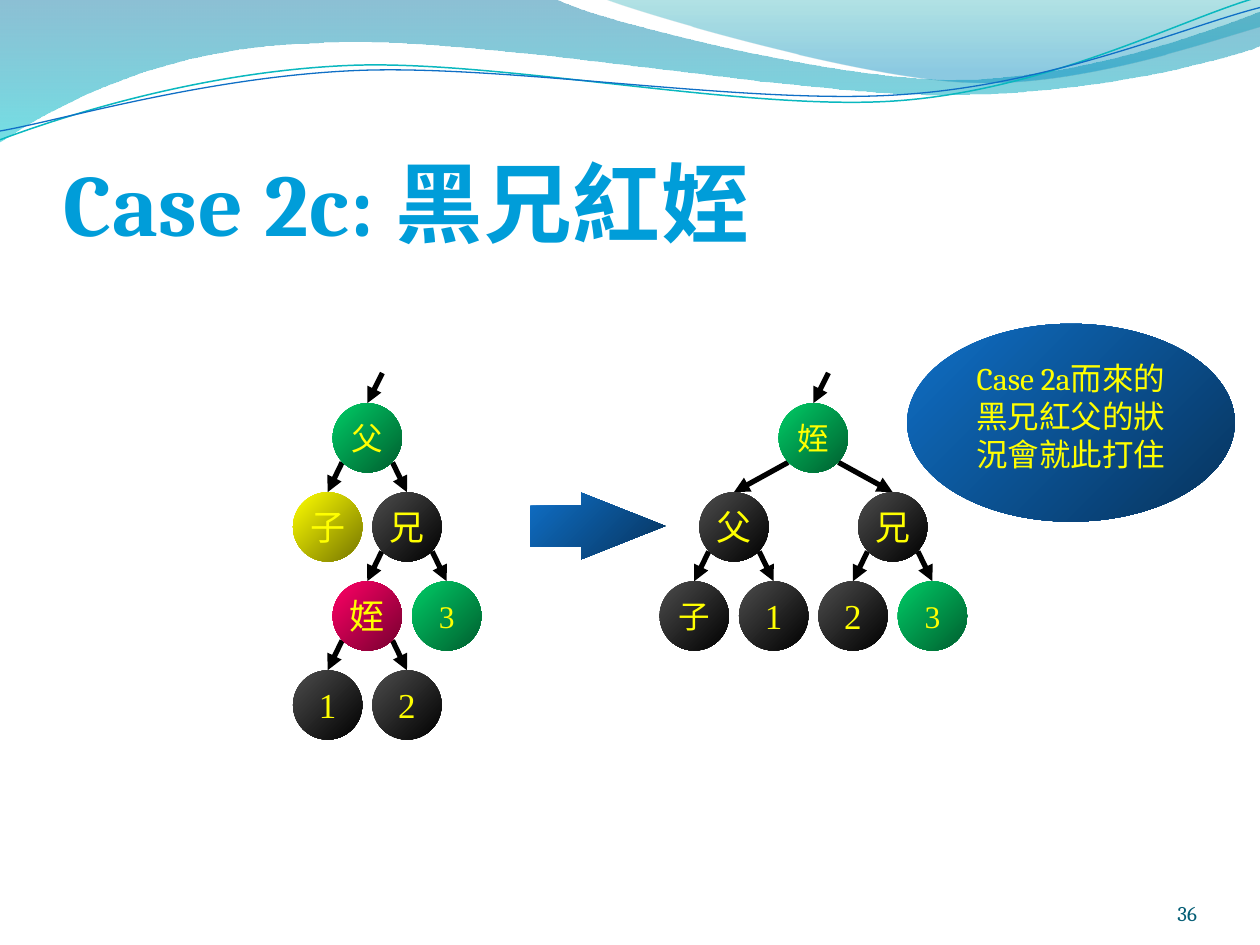
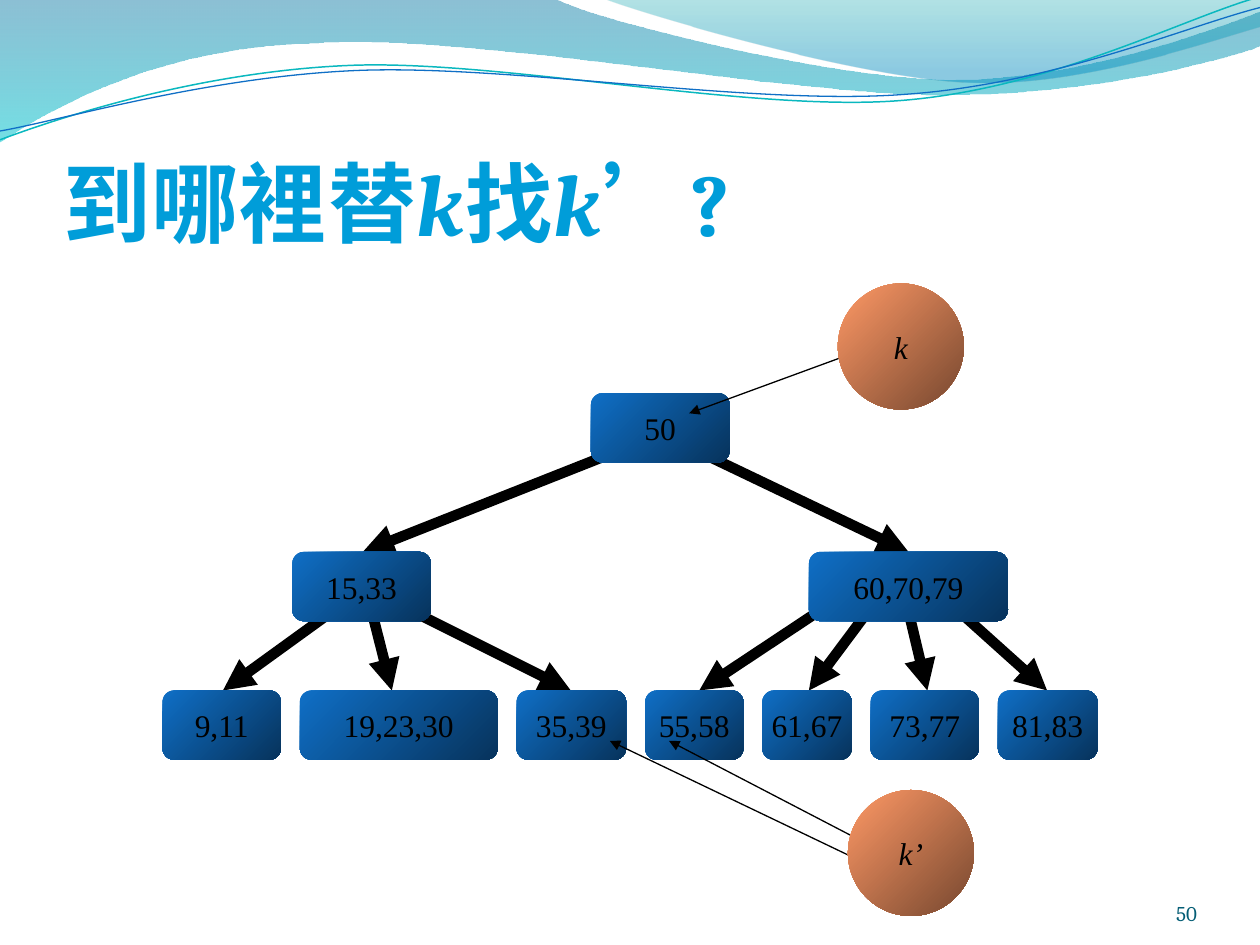
from lxml import etree
from pptx import Presentation
from pptx.dml.color import RGBColor
from pptx.enum.shapes import MSO_CONNECTOR, MSO_SHAPE
from pptx.enum.text import MSO_ANCHOR, MSO_AUTO_SIZE, PP_ALIGN
from pptx.oxml.ns import qn
from pptx.util import Inches, Pt

OVAL, BOX, BLOCK_ARROW = MSO_SHAPE.OVAL, MSO_SHAPE.ROUNDED_RECTANGLE, MSO_SHAPE.RIGHT_ARROW
STRAIGHT = MSO_CONNECTOR.STRAIGHT
LEFT, CENTER, RIGHT = PP_ALIGN.LEFT, PP_ALIGN.CENTER, PP_ALIGN.RIGHT
TOP, MIDDLE, BOTTOM = MSO_ANCHOR.TOP, MSO_ANCHOR.MIDDLE, MSO_ANCHOR.BOTTOM
NO_AUTOFIT = MSO_AUTO_SIZE.NONE

SERIF, TIMES = "Cambria", "Times New Roman"
COLORS = {
    "title": "009DD9", "number": "045D75", "black": "000000", "yellow": "FFFF00",
    "teal line": "0AB8BF", "blue line": "0F6FC6",
}
GRADIENTS = {
    "green": ("00CC66", "005E2F"), "yellow": ("FFFF00", "767600"),
    "black": ("4D4D4D", "000000"), "red": ("FF0066", "76002F"),
    "blue": ("0F6FC6", "07335C"), "orange": ("FF9966", "76472F"),
    "band": ("0074A1", "00C6CF"), "corner": ("00A1A9", "008BBF"),
}


def write_text(shape, text, size=18, font=SERIF, color="black", bold=False, align=CENTER,
               anchor=MIDDLE, wrap=True, insets=None, spacing=None):
    """Write one paragraph; every second part between bars is italic."""
    frame = shape.text_frame
    frame.auto_size = NO_AUTOFIT
    frame.word_wrap = wrap
    frame.vertical_anchor = anchor
    if insets:
        (frame.margin_left, frame.margin_top,
         frame.margin_right, frame.margin_bottom) = [Inches(inset) for inset in insets]
    paragraph = frame.paragraphs[0]
    paragraph.alignment = align
    for index, part in enumerate(text.split("|")):
        if not part:
            continue
        run = paragraph.add_run()
        run.text = part
        run.font.size = Pt(size)
        run.font.name = font
        run.font.bold = bold
        run.font.italic = index % 2 == 1
        run.font.color.rgb = RGBColor.from_string(COLORS[color])
        properties = run.font._element
        properties.set("lang", "zh-TW")
        if spacing:
            properties.set("spc", str(int(spacing * 100)))


def fill_gradient(shape, name, angle=45, alphas=None, end=1.0):
    """Fill a shape without outline; the angle runs clockwise."""
    shape.shadow.inherit = False
    shape.line.fill.background()
    shape.fill.gradient()
    shape.fill.gradient_angle = 360 - angle
    for stop, color, position in zip(shape.fill.gradient_stops, GRADIENTS[name], (0, end)):
        stop.color.rgb = RGBColor.from_string(color)
        stop.position = position
    if alphas:
        for color, alpha in zip(shape._element.iter(qn("a:srgbClr")), alphas):
            etree.SubElement(color, qn("a:alpha")).set("val", str(alpha * 1000))


# Wave outlines: a start point, then straight (1 point) or curved (3 points) segments
WAVES = [
    ("band", (45, 55), 1.0, (0, 0), [
        [(4.4, -0.01)],
        [(4.76, 0.17), (6.64, 0.63), (7.58, 0.63)],
        [(8.53, 0.63), (9.58, 0.26), (10, 0.09)],
        [(10.01, 0.36)],
        [(9.83, 0.44), (8.7, 0.76), (7.46, 0.75)],
        [(6.22, 0.75), (3.82, 0.28), (2.57, 0.34)],
        [(1.29, 0.36), (0.46, 0.83), (-0.01, 1.13)],
        [(0, 0)]]),
    ("corner", (30, 45), 0.8, (4.79, -0.01), [
        [(5.09, 0.11), (6.82, 0.62), (7.69, 0.65)],
        [(8.56, 0.69), (9.61, 0.32), (10, 0.21)],
        [(10, 0)],
        [(4.79, -0.01)]]),
    ("teal line", None, 0.85, (0, 1.11), [
        [(0.48, 0.93), (1.58, 0.57), (2.77, 0.52)],
        [(3.95, 0.47), (5.93, 0.89), (7.13, 0.8)],
        [(8.33, 0.71), (9.38, 0.15), (9.98, -0.02)]]),
    ("blue line", None, 0.75, (0, 1.04), [
        [(0.47, 0.96), (1.64, 0.61), (2.83, 0.56)],
        [(4.03, 0.51), (5.97, 0.84), (7.17, 0.75)],
        [(8.36, 0.67), (9.41, 0.21), (10, 0.06)]]),
]

presentation = Presentation()
presentation.slide_width, presentation.slide_height = Inches(10), Inches(7.5)
title_only = presentation.slide_layouts[5]

# Titles and slide numbers
slides = []
for title, number in [("Case 2c: 黑兄紅姪", "36"), ("到哪裡替|k|找|k|’?", "50")]:
    slide = presentation.slides.add_slide(title_only)
    slides.append(slide)
    number_box = slide.shapes.add_textbox(*map(Inches, (8.67, 6.95, 0.83, 0.4)))
    write_text(number_box, number, size=12, color="number", align=RIGHT, anchor=BOTTOM,
               insets=(0, 0, 0, 0))
    heading = slide.shapes.title
    heading.left, heading.top, heading.width, heading.height = map(Inches, (0.5, 0.77, 9, 1.25))
    write_text(heading, title, size=50, color="title", bold=True, align=LEFT, anchor=BOTTOM,
               insets=(0, 0.05, 0, 0), spacing=0.5)

# Waves: outlined through their control points, curved, then moved to the shared layout
for depth, (name, alphas, measure, start, segments) in enumerate(WAVES):
    builder = slides[0].shapes.build_freeform(*map(Inches, start))
    builder.add_line_segments([(Inches(x), Inches(y)) for segment in segments
                               for x, y in segment], close=alphas is not None)
    wave = builder.convert_to_shape()
    outline = next(wave._element.iter(qn("a:path")))
    lines = iter(outline.findall(qn("a:lnTo")))
    for segment in segments:
        controls = [next(lines) for point in segment]
        if len(controls) == 3:
            curve = etree.Element(qn("a:cubicBezTo"))
            controls[0].addprevious(curve)
            for control in controls:
                curve.append(control[0])
                outline.remove(control)
    if alphas:
        fill_gradient(wave, name, angle=90, alphas=alphas, end=measure)
    else:
        wave.shadow.inherit = False
        wave.fill.background()
        wave.line.color.rgb = RGBColor.from_string(COLORS[name])
        wave.line.width = Pt(measure)
    title_only.shapes._spTree.insert(2 + depth, wave._element)

# Red-black trees: text, column, level, colour, size, index of the parent
COLUMN, LEVEL, NODE, ROOT_TOP = 0.63 / 2, 2.12 / 3, 0.55, 3.2
TREES = [
    (2.6, [("父", 1, 0, "green", 18, None), ("子", 0, 1, "yellow", 20, 0),
           ("兄", 2, 1, "black", 20, 0), ("姪", 1, 2, "red", 20, 2),
           ("3", 3, 2, "green", 18, 2), ("1", 0, 3, "black", 20, 3),
           ("2", 2, 3, "black", 20, 3)]),
    (5.51, [("姪", 3, 0, "green", 18, None), ("父", 1, 1, "black", 20, 0),
            ("兄", 5, 1, "black", 20, 0), ("子", 0, 2, "black", 18, 1),
            ("1", 2, 2, "black", 20, 1), ("2", 4, 2, "black", 20, 2),
            ("3", 6, 2, "green", 18, 2)]),
]
tree_arrows, tree_nodes = [], []
for first_center, nodes in TREES:
    for text, column, level, color, size, parent in nodes:
        center, top = first_center + column * COLUMN, ROOT_TOP + level * LEVEL
        if parent is None:
            start = (center + 0.12, top - 0.24)
        else:
            parent_column, parent_level = nodes[parent][1:3]
            side = 0.2 if column > parent_column else -0.2
            start = (first_center + parent_column * COLUMN + side,
                     ROOT_TOP + parent_level * LEVEL + 0.47)
        tree_arrows.append((*start, center, top))
        font = SERIF if (text, color) == ("子", "black") else TIMES
        tree_nodes.append((OVAL, (center - NODE / 2, top, NODE, NODE), color, text,
                           dict(size=size, font=font, color="yellow", wrap=False)))
tree_nodes += [
    (BLOCK_ARROW, (4.21, 3.91, 1.07, 0.53), "blue", "", {}),
    (OVAL, (7.2, 2.57, 2.6, 1.57), "blue", "Case 2a而來的黑兄紅父的狀況會就此打住",
     dict(color="yellow", anchor=TOP)),
]

# Search tree: inner boxes, then a row of leaves with equal gaps
BOX_HEIGHT, LEAF_TOP, LEAF_GAP = 0.55, 5.48, 0.15
label = dict(font=TIMES, wrap=False)
boxes = [
    (BOX, (left, top, width, BOX_HEIGHT), "blue", text, label)
    for left, top, width, text in [(4.69, 3.12, 1.1, "50"), (2.32, 4.38, 1.1, "15,33"),
                                   (6.42, 4.38, 1.58, "60,70,79")]
]
left = 1.29
for text, width in [("9,11", 0.94), ("19,23,30", 1.57), ("35,39", 0.87), ("55,58", 0.78),
                    ("61,67", 0.71), ("73,77", 0.86), ("81,83", 0.79)]:
    boxes.append((BOX, (left, LEAF_TOP, width, BOX_HEIGHT), "blue", text, label))
    left += width + LEAF_GAP

branches = [(5.08, 3.51, 2.88, 4.38), (5.39, 3.51, 7.21, 4.38), (7.52, 4.77, 8.31, LEAF_TOP)]
branches += [(start, 4.85, end, LEAF_TOP) for start, end in [
    (2.64, 1.77), (2.95, 3.11), (3.27, 4.53), (6.5, 5.55), (6.89, 6.42), (7.21, 7.36)]]

# Key circles and the thin pointers to their places
pointers = [(6.81, 6.66, 5.31, 5.88), (6.97, 6.9, 4.84, 5.88), (6.97, 2.73, 5.47, 3.28)]
keys = [(OVAL, (left, top, 1, 1), "orange", text, label)
        for left, top, text in [(6.65, 2.25, "|k"), (6.73, 6.27, "|k’")]]

# Draw each layer: arrows first, shapes above them
for slide, arrows, arrow_width, nodes in [
    (slides[0], tree_arrows, 3, tree_nodes),
    (slides[1], branches, 6, boxes),
    (slides[1], pointers, 0.75, keys),
]:
    for ends in arrows:
        arrow = slide.shapes.add_connector(STRAIGHT, *map(Inches, ends))
        arrow.line.width = Pt(arrow_width)
        arrow.line.color.rgb = RGBColor.from_string(COLORS["black"])
        etree.SubElement(arrow.line._get_or_add_ln(), qn("a:tailEnd")).set("type", "triangle")
        etree.SubElement(arrow._element.spPr, qn("a:effectLst"))
    for kind, place, gradient, text, text_format in nodes:
        shape = slide.shapes.add_shape(kind, *map(Inches, place))
        fill_gradient(shape, gradient)
        if kind == BLOCK_ARROW:
            shape.adjustments[0], shape.adjustments[1] = 0.61, 1.26
        if text:
            write_text(shape, text, **text_format)

presentation.save("out.pptx")
